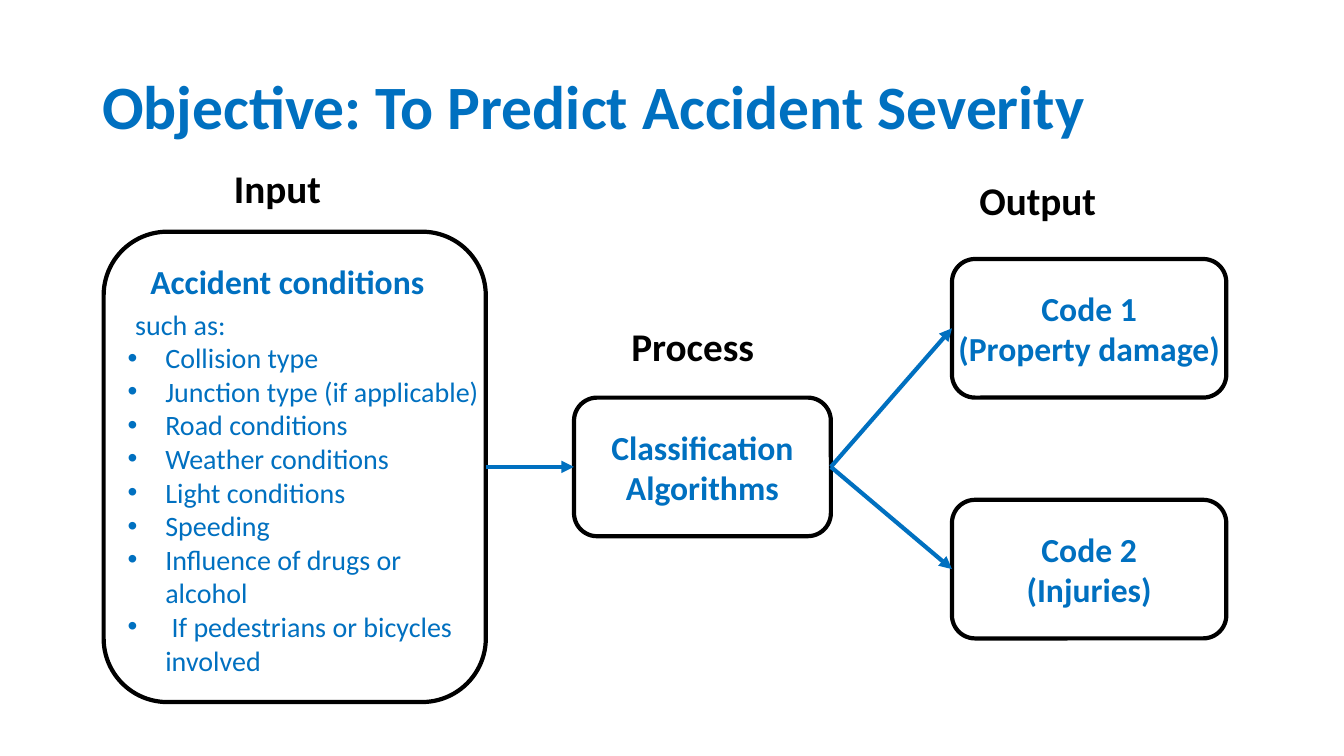
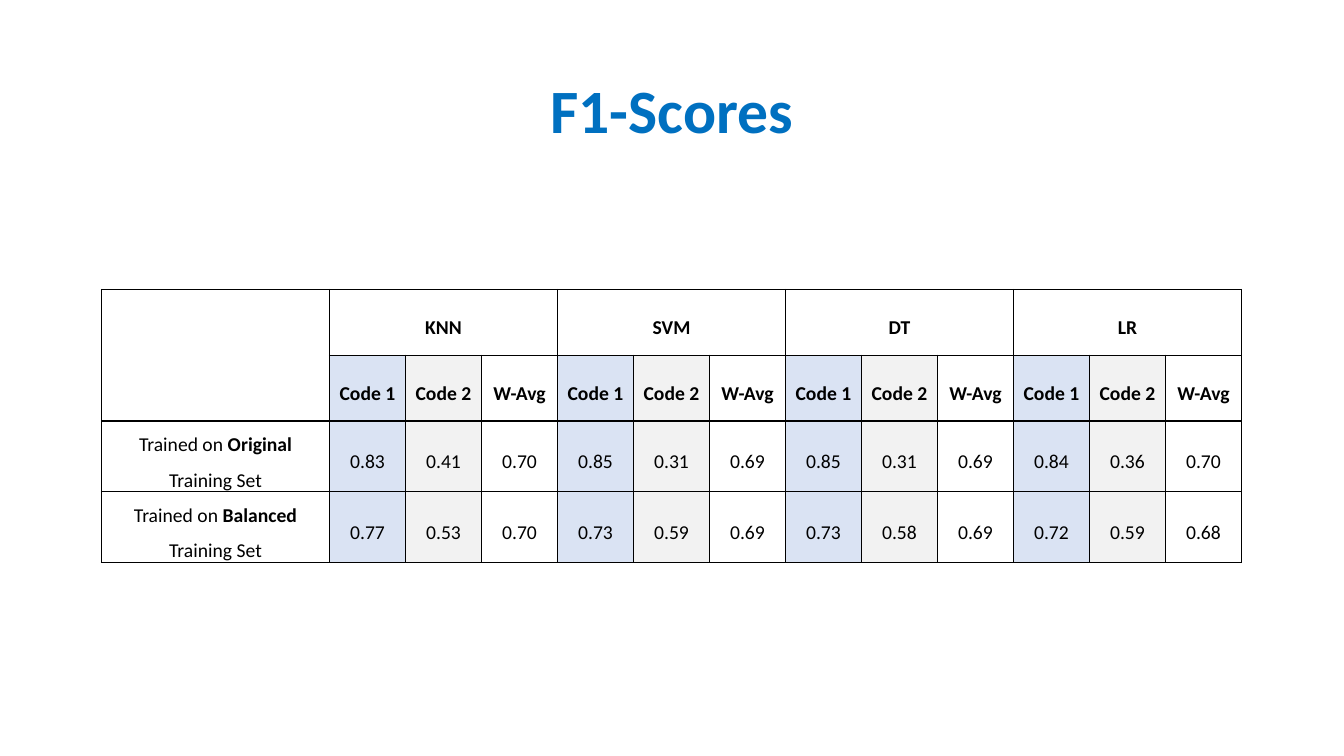
from lxml.etree import SubElement
from pptx import Presentation
from pptx.dml.color import RGBColor
from pptx.enum.shapes import MSO_CONNECTOR as Connector, MSO_SHAPE as Preset
from pptx.enum.text import MSO_ANCHOR as Anchor, PP_ALIGN as Align
from pptx.oxml.ns import qn
from pptx.util import Pt

BLUE = RGBColor(0x00, 0x70, 0xC0)
BLACK = RGBColor(0x00, 0x00, 0x00)
PALE_BLUE = RGBColor(0xDA, 0xE3, 0xF3)
PALE_GREY = RGBColor(0xF2, 0xF2, 0xF2)
FONT = "Calibri"


def write(frame, lines, size, color, bold=True, align=Align.LEFT):
    """Fill a text frame, one paragraph a line; *starred* words are bold."""
    for number, line in enumerate(lines):
        para = frame.add_paragraph() if number else frame.paragraphs[0]
        para.alignment = align
        para.font.name, para.font.size, para.font.bold = FONT, Pt(size), bold
        para.font.color.rgb = color
        for part, text in enumerate(line.split("*")):
            span = para.add_run()
            span.text = text
            if part % 2:
                span.font.bold = True


def add_text(page, left, top, width, height, lines, size, color, **style):
    """Add a wrapping text box and return its frame."""
    box = page.shapes.add_textbox(Pt(left), Pt(top), Pt(width), Pt(height))
    box.text_frame.word_wrap = True
    write(box.text_frame, lines, size, color, **style)
    return box.text_frame


deck = Presentation()
deck.slide_width, deck.slide_height = Pt(960), Pt(540)

# Pages and their titles
pages = []
for title, top, align in [
    ("Objective: To Predict Accident Severity", 26, Align.LEFT),
    ("F1-Scores", 29, Align.CENTER),
]:
    page = deck.slides.add_slide(deck.slide_layouts[6])
    frame = add_text(page, 66, top, 828, 104.4, [title], 44, BLUE, align=align)
    frame.vertical_anchor = Anchor.MIDDLE
    frame.paragraphs[0].line_spacing = 0.9
    pages.append(page)
objective, scores = pages

# Column headings
for heading, left, top, width in [
    ("Input", 160, 114, 77),
    ("Output", 692.5, 122.5, 99),
    ("Process", 444, 227, 103),
]:
    frame = add_text(objective, left, top, width, 41, [heading], 28, BLACK)
    frame.word_wrap = False

# Rounded boxes
boxes = {}
for name, left, top, width, height, lines in [
    ("input", 74, 165.5, 273, 336, []),
    ("process", 410, 284, 183.5, 99, ["Classification", "Algorithms"]),
    ("damage", 680, 185, 196, 99, ["Code 1", "(Property damage)"]),
    ("injuries", 680, 357, 196, 99, ["Code 2", "(Injuries)"]),
]:
    box = objective.shapes.add_shape(
        Preset.ROUNDED_RECTANGLE, Pt(left), Pt(top), Pt(width), Pt(height))
    box.shadow.inherit = False
    box.fill.background()
    box.line.color.rgb, box.line.width = BLACK, Pt(3)
    frame = box.text_frame
    frame.word_wrap = False
    frame.vertical_anchor = Anchor.MIDDLE
    frame.margin_left = frame.margin_right = 0
    write(frame, lines, 24, BLUE, align=Align.CENTER)
    boxes[name] = box

# Arrows from the right side of one box to the left side of the next
LEFT_SIDE, RIGHT_SIDE = 1, 3
for start, end in [
    ("input", "process"), ("process", "damage"), ("process", "injuries"),
]:
    arrow = objective.shapes.add_connector(Connector.STRAIGHT, 0, 0, 0, 0)
    arrow.begin_connect(boxes[start], RIGHT_SIDE)
    arrow.end_connect(boxes[end], LEFT_SIDE)
    arrow.line.color.rgb, arrow.line.width = BLUE, Pt(3)
    properties = arrow.element.spPr
    SubElement(properties.find(qn("a:ln")), qn("a:tailEnd"), type="triangle")
    SubElement(properties, qn("a:effectLst"))

# Accident conditions
conditions = [
    "Accident conditions",
    "such as:",
    "Collision type",
    "Junction type (if applicable)",
    "Road conditions",
    "Weather conditions",
    "Light conditions",
    "Speeding",
    "Influence of drugs or alcohol",
    " If pedestrians or bicycles involved",
]
frame = add_text(objective, 84, 183, 273, 307, conditions, 20, BLUE, bold=False)
lead, intro, *bullets = frame.paragraphs
lead.font.size, lead.font.bold = Pt(24), True
intro.space_before = Pt(4)
for para, indent in [(lead, 16.3), (intro, 5.4)]:
    para._p.get_or_add_pPr().set("marL", str(Pt(indent)))
for para in bullets:
    layout = para._p.get_or_add_pPr()
    layout.set("marL", str(Pt(27)))
    layout.set("indent", str(Pt(-27)))
    # Bullet marks come before the paragraph's default font
    for position, (tag, key, value) in enumerate([
        ("a:buFont", "typeface", "Arial"), ("a:buChar", "char", "•"),
    ]):
        mark = SubElement(layout, qn(tag), {key: value})
        layout.insert(position, mark)

# Score table: each model spans three columns
models = ["KNN", "SVM", "DT", "LR"]
measures = ["Code 1", "Code 2", "W-Avg"]
rows = [
    [""] + [text for model in models for text in (model, "", "")],
    [""] + measures * len(models),
    ["Trained on *Original *Training Set",
     "0.83", "0.41", "0.70", "0.85", "0.31", "0.69",
     "0.85", "0.31", "0.69", "0.84", "0.36", "0.70"],
    ["Trained on *Balanced *Training Set",
     "0.77", "0.53", "0.70", "0.73", "0.59", "0.69",
     "0.73", "0.58", "0.69", "0.72", "0.59", "0.68"],
]
COLUMN, ROW = 54.3, 47
table = scores.shapes.add_table(
    len(rows), len(rows[0]), Pt(72.5), Pt(206.7),
    Pt(COLUMN * 15), Pt(ROW * 4)).table
table.first_row = table.horz_banding = False
for number, column in enumerate(table.columns):
    column.width = Pt(COLUMN if number else COLUMN * 3)
for row in table.rows:
    row.height = Pt(ROW)

table.cell(0, 0).merge(table.cell(1, 0))
for first in range(1, len(rows[0]), len(measures)):
    table.cell(0, first).merge(table.cell(0, first + 2))

fills = [PALE_BLUE, PALE_GREY, None]
for r, texts in enumerate(rows):
    for c, text in enumerate(texts):
        cell = table.cell(r, c)
        cell.vertical_anchor = Anchor.MIDDLE
        cell.margin_left = cell.margin_right = Pt(7.2 if r else 9.4)
        cell.margin_top = cell.margin_bottom = Pt(0 if r else 4.7)
        for side in ("a:lnL", "a:lnR", "a:lnT", "a:lnB"):
            border = SubElement(
                cell._tc.get_or_add_tcPr(), qn(side), w=str(Pt(1)))
            paint = SubElement(border, qn("a:solidFill"))
            SubElement(paint, qn("a:srgbClr"), val=str(BLACK))
        fill = fills[(c - 1) % 3] if r and c else None
        if fill:
            cell.fill.solid()
            cell.fill.fore_color.rgb = fill
        else:
            cell.fill.background()
        if text:
            write(cell.text_frame, [text], 14, BLACK, bold=r < 2,
                  align=Align.CENTER)
            para = cell.text_frame.paragraphs[0]
            para.line_spacing, para.space_after = 1.5, Pt(8)

deck.save("out.pptx")
